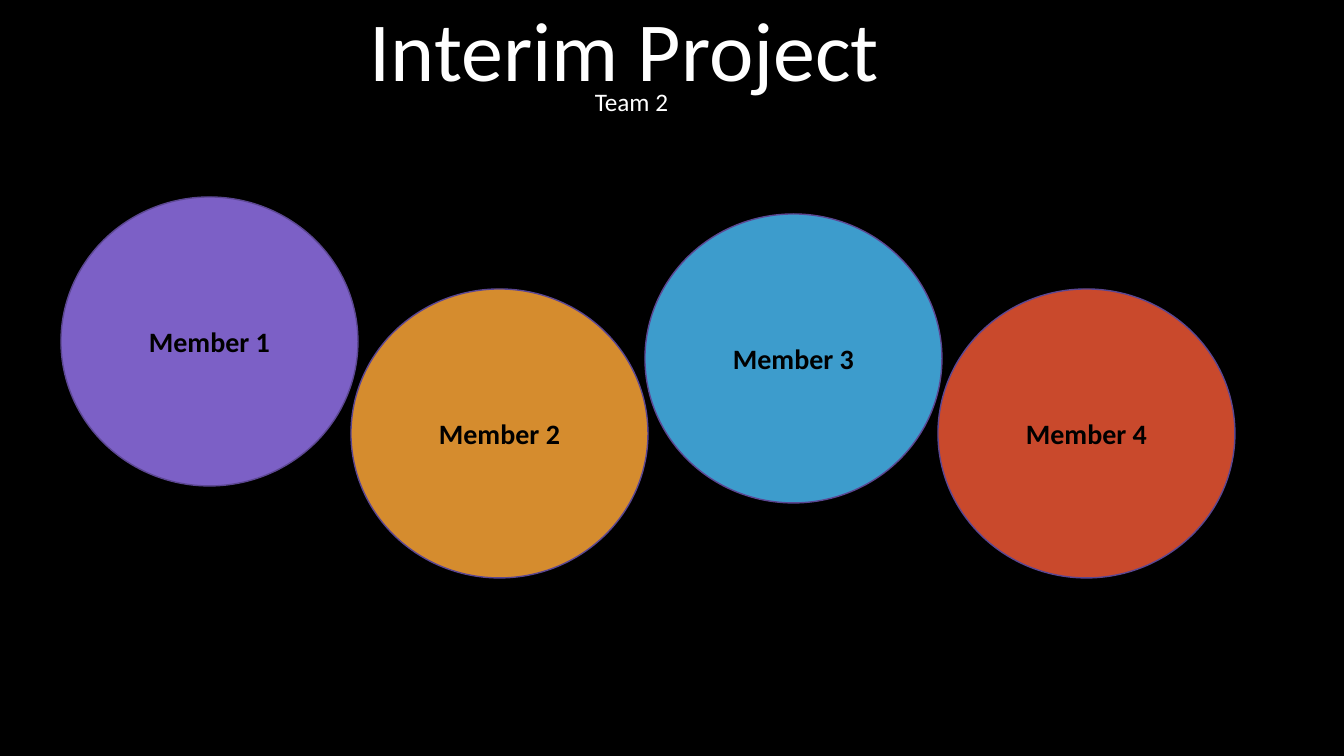
from dataclasses import dataclass

from pptx import Presentation
from pptx.dml.color import RGBColor
from pptx.enum.shapes import MSO_SHAPE
from pptx.enum.text import MSO_ANCHOR, PP_ALIGN
from pptx.util import Emu, Pt

OVAL = MSO_SHAPE.OVAL
LEFT, CENTER = PP_ALIGN.LEFT, PP_ALIGN.CENTER
TOP, MIDDLE, BOTTOM = MSO_ANCHOR.TOP, MSO_ANCHOR.MIDDLE, MSO_ANCHOR.BOTTOM

SLIDE_WIDTH, SLIDE_HEIGHT = 1344, 756
EMU_PER_PX = 12192000 / SLIDE_WIDTH
CIRCLE_WIDTH, CIRCLE_HEIGHT = 297, 289


@dataclass(frozen=True)
class Theme:
    font: str = "Calibri"
    background: str = "000000"
    heading: str = "FFFFFF"
    label: str = "000000"
    outline: str = "5C4792"
    purple: str = "7C60C6"
    blue: str = "3D9CCC"
    orange: str = "D58C2E"
    red: str = "C9492C"
    title_size: int = 60
    label_size: int = 20
    subtitle_size: int = 18


THEME = Theme()

# Label, fill, left and top, from back to front
MEMBERS = [
    ("Member 1", THEME.purple, 61, 197),
    ("Member 3", THEME.blue, 645, 214),
    ("Member 2", THEME.orange, 351, 289),
    ("Member 4", THEME.red, 938, 289),
]


def px(length):
    return Emu(round(length * EMU_PER_PX))


def rgb(code):
    return RGBColor.from_string(code)


def write_text(shape, text, size, color, align, anchor, bold=False):
    frame = shape.text_frame
    frame.text = text
    frame.word_wrap = True
    frame.vertical_anchor = anchor
    para = frame.paragraphs[0]
    para.alignment = align
    font = para.runs[0].font
    font.name, font.size, font.bold = THEME.font, Pt(size), bold
    font.color.rgb = rgb(color)
    return para


def add_heading(slide, bounds, text, size, align, anchor):
    box = slide.shapes.add_textbox(*map(px, bounds))
    return write_text(box, text, size, THEME.heading, align, anchor)


def add_member(slide, label, fill, left, top):
    bounds = (left, top, CIRCLE_WIDTH, CIRCLE_HEIGHT)
    circle = slide.shapes.add_shape(OVAL, *map(px, bounds))
    circle.shadow.inherit = False
    circle.fill.solid()
    circle.fill.fore_color.rgb = rgb(fill)
    circle.line.color.rgb = rgb(THEME.outline)
    circle.line.width = Pt(1)
    write_text(circle, label, THEME.label_size, THEME.label, CENTER, MIDDLE, bold=True)


def main():
    deck = Presentation()
    deck.slide_width, deck.slide_height = px(SLIDE_WIDTH), px(SLIDE_HEIGHT)
    page = deck.slides.add_slide(deck.slide_layouts[6])

    # Background
    page.background.fill.solid()
    page.background.fill.fore_color.rgb = rgb(THEME.background)

    # Title
    title = add_heading(page, (130, 0, 1008, 105), "Interim Project ",
                        THEME.title_size, CENTER, BOTTOM)
    title.line_spacing = 0.9

    # Team members
    for member in MEMBERS:
        add_member(page, *member)

    # Subtitle
    add_heading(page, (585, 81, 456, 40), "Team 2", THEME.subtitle_size, LEFT, TOP)

    deck.save("out.pptx")


if __name__ == "__main__":
    main()
